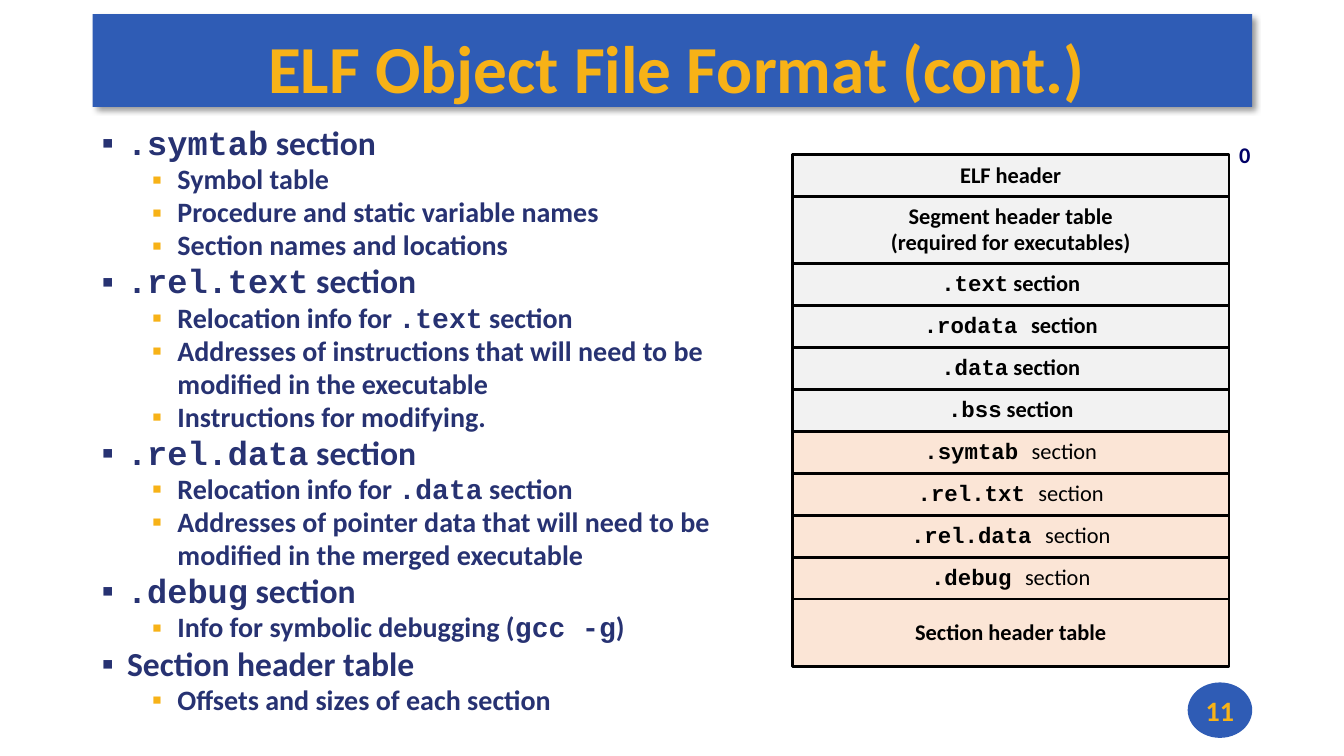
from dataclasses import dataclass
from lxml import etree
from pptx import Presentation
from pptx import util as u
from pptx.dml.color import RGBColor
from pptx.enum import shapes, text
from pptx.oxml import parse_xml
from pptx.oxml.ns import nsdecls, qn


@dataclass(frozen=True)
class Theme:
    blue: str = "2F5CB5"
    gold: str = "F7B217"
    navy: str = "273272"
    offset: str = "000066"
    black: str = "000000"
    grey: str = "F2F2F2"
    peach: str = "FBE5D6"
    prose: str = "Calibri"
    code: str = "Courier New"
    title_size: int = 48
    level_sizes: tuple = (24, 20)
    label_size: int = 16
    number_size: int = 20


T = Theme()
CENTER = text.PP_ALIGN.CENTER
MIDDLE = text.MSO_ANCHOR.MIDDLE

TOPICS = [
    (0, "`.symtab` section"),
    (1, "Symbol table"),
    (1, "Procedure and static variable names"),
    (1, "Section names and locations"),
    (0, "`.rel.text` section"),
    (1, "Relocation info for `.text` section"),
    (1, "Addresses of instructions that will need to be modified in the executable"),
    (1, "Instructions for modifying."),
    (0, "`.rel.data` section"),
    (1, "Relocation info for `.data` section"),
    (1, "Addresses of pointer data that will need to be modified in the merged executable"),
    (0, "`.debug` section"),
    (1, "Info for symbolic debugging (`gcc -g`)"),
    (0, "Section header table"),
    (1, "Offsets and sizes of each section"),
]

SHORT, TALL = 5, 8
SECTIONS = [
    (SHORT, T.grey, True, ["ELF header"]),
    (TALL, T.grey, True, ["Segment header table", "(required for executables)"]),
    (SHORT, T.grey, True, ["`.text` section"]),
    (SHORT, T.grey, True, ["`.rodata `section"]),
    (SHORT, T.grey, True, ["`.data` section"]),
    (SHORT, T.grey, True, ["`.bss` section"]),
    (SHORT, T.peach, False, ["`.symtab `section"]),
    (SHORT, T.peach, False, ["`.rel.txt `section"]),
    (SHORT, T.peach, False, ["`.rel.data `section"]),
    (SHORT, T.peach, False, ["`.debug `section"]),
    (TALL, T.peach, True, ["Section header table"]),
]


def apply(obj, **fmt):
    for name, value in fmt.items():
        setattr(obj, name, value)


def place(sp, box):
    apply(sp, **dict(zip(("left", "top", "width", "height"), map(u.Inches, box))))


def set_frame(tf, insets, **fmt):
    sides = ("margin_left", "margin_top", "margin_right", "margin_bottom")
    apply(tf, **dict(zip(sides, map(u.Inches, insets))), **fmt)


def write(p, marked, size, color, bold=True, **fmt):
    apply(p, space_before=u.Pt(0), **fmt)
    for i, part in enumerate(marked.split("`")):
        if part:
            is_code = i % 2 == 1
            r = p.add_run()
            r.text = part
            apply(r.font, name=T.code if is_code else T.prose,
                  size=u.Pt(size), bold=is_code or bold)
            r.font.color.rgb = RGBColor.from_string(color)


def paragraphs(tf, count):
    return [tf.paragraphs[0]] + [tf.add_paragraph() for _ in range(count - 1)]


def add_block(s, kind, box, fill, line=None):
    sp = s.shapes.add_shape(kind, *map(u.Inches, box))
    sp.shadow.inherit = False
    sp.fill.solid()
    sp.fill.fore_color.rgb = RGBColor.from_string(fill)
    if line:
        sp.line.color.rgb = RGBColor.from_string(line)
        sp.line.width = u.Pt(2)
    else:
        sp.line.fill.background()
    return sp


def add_bullet(p, level):
    pPr = p._p.get_or_add_pPr()
    pPr.set("marL", str(u.Inches(0.25 + 0.5 * level)))
    pPr.set("indent", str(u.Inches(-0.25)))
    color = etree.SubElement(pPr, qn("a:buClr"))
    etree.SubElement(color, qn("a:srgbClr")).set("val", T.gold if level else T.navy)
    etree.SubElement(pPr, qn("a:buFont")).set("typeface", T.prose)
    etree.SubElement(pPr, qn("a:buChar")).set("char", "▪")


def title_banner(s, box):
    left, top, width, height = box
    banner = add_block(s, shapes.MSO_SHAPE.RECTANGLE, box, T.blue)
    effects = banner._element.spPr.find(qn("a:effectLst"))
    effects.append(parse_xml(
        f'<a:outerShdw {nsdecls("a")} blurRad="{u.Pt(4)}" dist="{u.Pt(3)}" '
        f'dir="2700000" algn="tl" rotWithShape="0"><a:srgbClr val="{T.black}">'
        '<a:alpha val="40000"/></a:srgbClr></a:outerShdw>'))
    s.shapes._spTree.insert(2, banner._element)
    title = s.shapes.title
    place(title, (left + 0.02, top + 0.09, width - 0.03, height - 0.06))
    set_frame(title.text_frame, (0.08, 0.03, 0, 0.03), vertical_anchor=MIDDLE,
              word_wrap=True, auto_size=text.MSO_AUTO_SIZE.NONE)
    write(title.text_frame.paragraphs[0], "ELF Object File Format (cont.)",
          T.title_size, T.gold, alignment=CENTER)


def topic_list(s, box):
    body = s.placeholders[1]
    place(body, box)
    tf = body.text_frame
    set_frame(tf, (0.1, 0.05, 0.1, 0.05), vertical_anchor=text.MSO_ANCHOR.TOP,
              word_wrap=True, auto_size=text.MSO_AUTO_SIZE.NONE)
    for p, (level, topic) in zip(paragraphs(tf, len(TOPICS)), TOPICS):
        add_bullet(p, level)
        write(p, topic, T.level_sizes[level], T.navy, level=level, line_spacing=0.98)


def file_layout(s, box):
    left, top, width, height = box
    unit = height / sum(weight for weight, *_ in SECTIONS)
    y = top
    for weight, fill, bold, lines in SECTIONS:
        sp = add_block(s, shapes.MSO_SHAPE.RECTANGLE,
                       (left, y, width, weight * unit), fill, T.black)
        tf = sp.text_frame
        set_frame(tf, (0.1, 0.05, 0.1, 0.05), vertical_anchor=MIDDLE, word_wrap=False)
        for p, line in zip(paragraphs(tf, len(lines)), lines):
            write(p, line, T.label_size, T.black, bold, alignment=CENTER,
                  line_spacing=0.94 if "`" in line else 0.98)
        y += weight * unit
    start = s.shapes.add_textbox(
        *map(u.Inches, (left + width, top - 0.17, 0.31, 0.37)))
    set_frame(start.text_frame, (0.1, 0.05, 0.1, 0.05), word_wrap=False)
    write(start.text_frame.paragraphs[0], "0", T.label_size, T.offset,
          line_spacing=0.98)


def page_number(s, box):
    sp = add_block(s, shapes.MSO_SHAPE.OVAL, box, T.blue)
    set_frame(sp.text_frame, (0, 0, 0, 0), vertical_anchor=MIDDLE, word_wrap=False)
    write(sp.text_frame.paragraphs[0], "11", T.number_size, T.gold, alignment=CENTER)


def main():
    prs = Presentation()
    apply(prs, slide_width=u.Inches(13.33), slide_height=u.Inches(7.5))
    s = prs.slides.add_slide(prs.slide_layouts[1])
    title_banner(s, (0.92, 0.14, 11.5, 0.92))
    topic_list(s, (0.91, 1.18, 7.12, 6.32))
    file_layout(s, (7.86, 1.53, 4.33, 5.08))
    page_number(s, (11.78, 6.77, 0.64, 0.55))
    prs.save("out.pptx")


if __name__ == "__main__":
    main()
